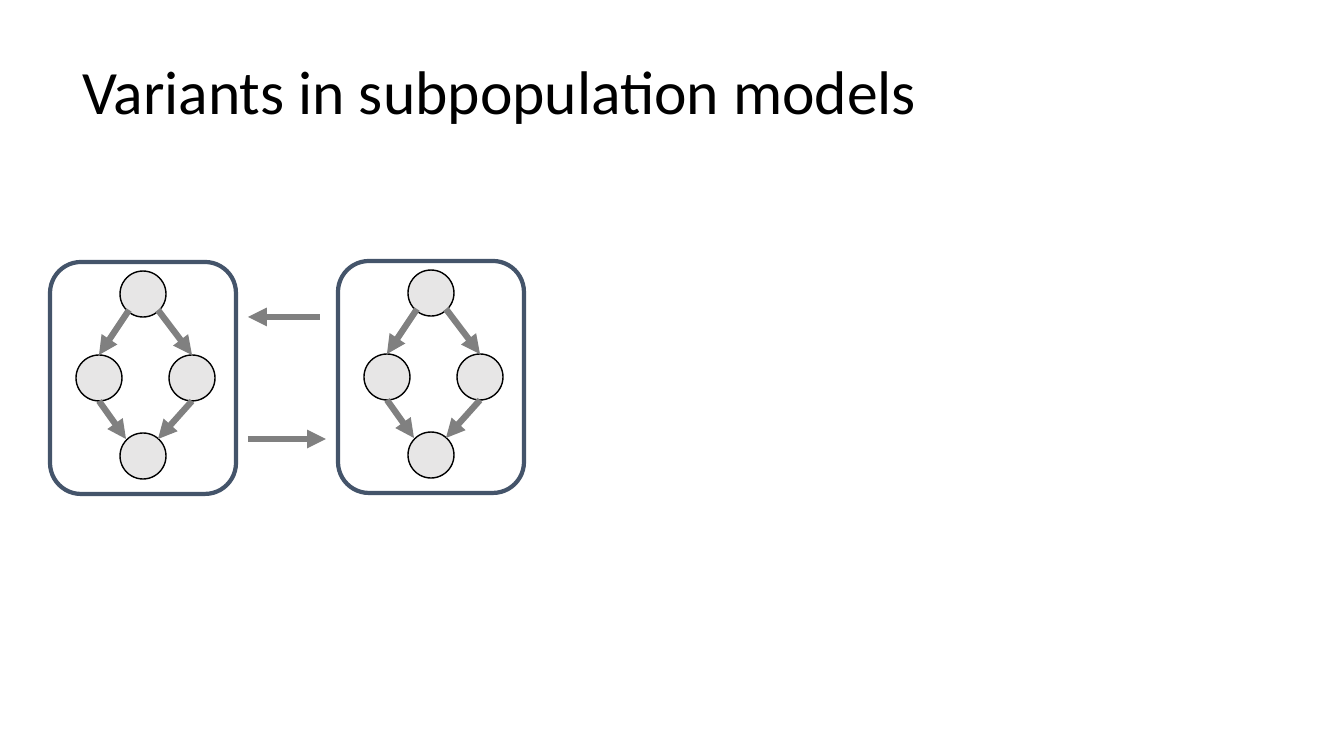
from pptx import Presentation
from pptx.dml.color import RGBColor
from pptx.enum.shapes import MSO_CONNECTOR, MSO_SHAPE
from pptx.enum.text import MSO_ANCHOR, PP_ALIGN
from pptx.oxml.ns import qn
from pptx.util import Pt
from lxml.etree import SubElement

TITLE = "Variants in subpopulation models"
GROUPS = [(50, 262), (338, 261)]
BOX = (186, 232)
NODE = 46
NODES = [(70, 9), (26, 93), (119, 93), (70, 171)]
EDGES = [
    (79, 48, 49, 93),
    (49, 139, 76, 177),
    (108, 48, 142, 93),
    (142, 139, 108, 177),
]
FLOWS = [(248, 439, 326, 439), (320, 317, 248, 317)]
SCALE = 914400 / 100.8


def px(n):
    return round(n * SCALE)


def color(text):
    return RGBColor.from_string(text)


def shape(home, kind, x, y, w, h, fill, line, width):
    item = home.add_shape(kind, px(x), px(y), px(w), px(h))
    item.shadow.inherit = False
    item.fill.solid()
    item.fill.fore_color.rgb = color(fill)
    item.line.color.rgb = color(line)
    item.line.width = Pt(width)


def arrow(home, *ends):
    item = home.add_connector(MSO_CONNECTOR.STRAIGHT, *map(px, ends))
    item.line.color.rgb = color("808080")
    item.line.width = Pt(4.5)
    props = item.element.spPr
    SubElement(props.find(qn("a:ln")), qn("a:tailEnd"), type="triangle")
    SubElement(props, qn("a:effectLst"))


deck = Presentation()
deck.slide_width, deck.slide_height = px(1344), px(756)
slide = deck.slides.add_slide(deck.slide_layouts[5])

title = slide.shapes.title
title.left, title.top, title.width, title.height = map(px, (72, 22, 1159, 146))
frame = title.text_frame
frame.word_wrap = True
frame.vertical_anchor = MSO_ANCHOR.MIDDLE
para = frame.paragraphs[0]
para.alignment = PP_ALIGN.LEFT
para.line_spacing = 0.9
run = para.add_run()
run.text = TITLE
run.font.name = "Calibri"
run.font.size = Pt(44)
run.font.color.rgb = color("000000")

for x, y in GROUPS:
    home = slide.shapes.add_group_shape().shapes
    shape(home, MSO_SHAPE.ROUNDED_RECTANGLE, x, y, *BOX, "FFFFFF", "44546A", 3)
    for dx, dy in NODES:
        shape(home, MSO_SHAPE.OVAL, x + dx, y + dy, NODE, NODE, "E7E6E6", "000000", 1)
    for ax, ay, bx, by in EDGES:
        arrow(home, x + ax, y + ay, x + bx, y + by)

for flow in FLOWS:
    arrow(slide.shapes, *flow)

deck.save("out.pptx")
